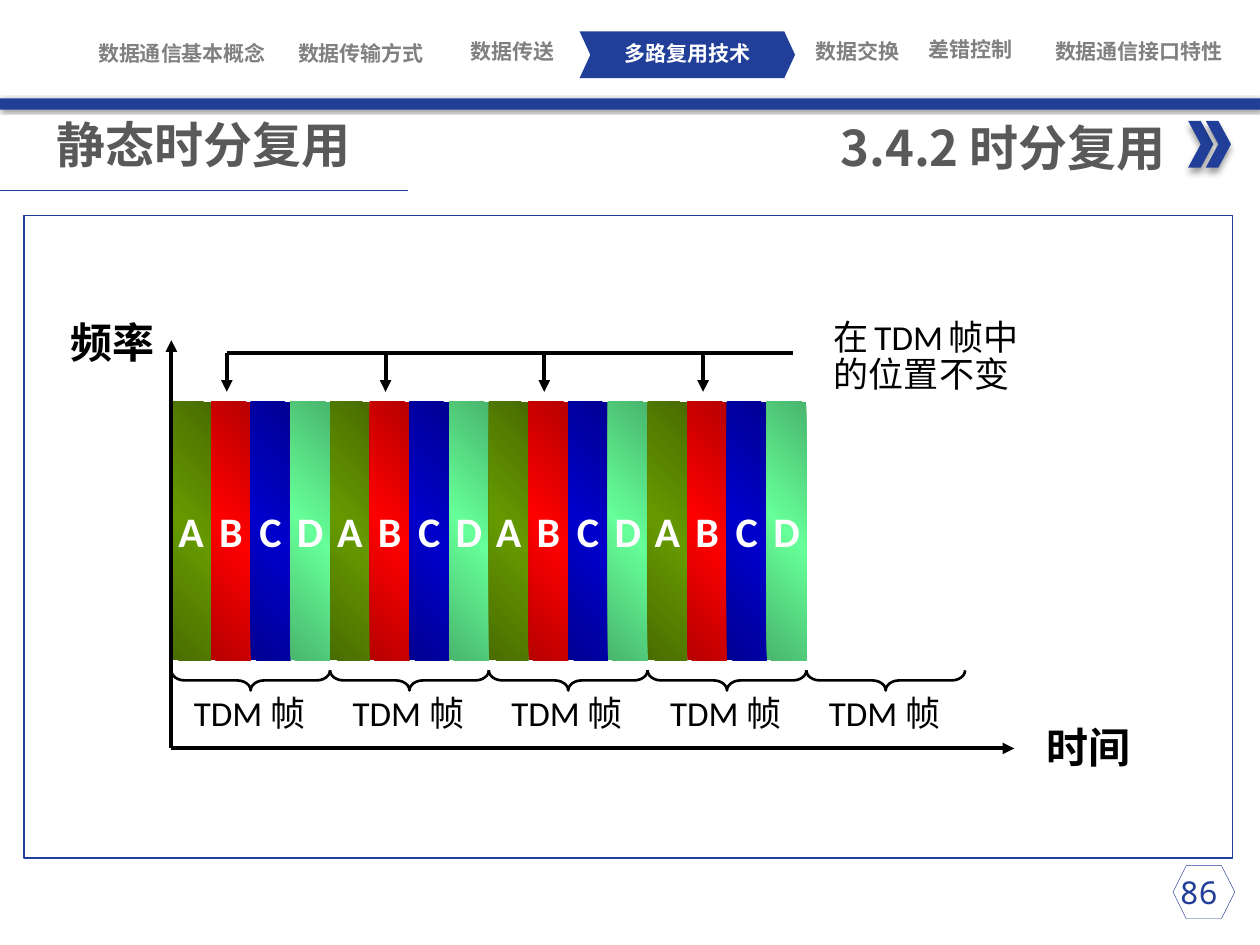
from copy import deepcopy

from lxml.etree import SubElement
from pptx import Presentation
from pptx.dml.color import RGBColor
from pptx.enum.shapes import MSO_CONNECTOR as Connector, MSO_SHAPE as Shape
from pptx.enum.text import MSO_ANCHOR as Anchor, MSO_AUTO_SIZE as AutoSize, PP_ALIGN as Align
from pptx.oxml.ns import qn
from pptx.util import Inches, Pt

COLORS = {"blue": "213F99", "gray": "808080", "title": "595959", "white": "FFFFFF", "black": "000000"}
CHANNELS = {
    "A": ("496D00", "669900"),
    "B": ("B60000", "FF0000"),
    "C": ("000092", "0000CC"),
    "D": ("49B66D", "66FF99"),
}
NAV_ITEMS = [
    ("多路复用技术", 4.73, 0.32, 1.45, "white"),
    ("数据通信基本概念", 0.72, 0.32, 1.45, "gray"),
    ("数据传输方式", 2.14, 0.32, 1.45, "gray"),
    ("数据传送", 3.43, 0.31, 1.27, "gray"),
    ("数据通信接口特性", 8.08, 0.31, 1.92, "gray"),
    ("数据交换", 6.08, 0.31, 1.45, "gray"),
    ("差错控制", 6.98, 0.29, 1.45, "gray"),
]
CJK = "Noto Sans CJK SC"
ORIGIN_X, ORIGIN_Y = 1.36, 5.94
FRAME_WIDTH = 1.26
FILLED_FRAMES = 4
SLOT_WIDTH = FRAME_WIDTH / len(CHANNELS)


def rgb(name):
    return RGBColor.from_string(COLORS.get(name, name))


def style(paragraph, size, font, color, bold=False, align=None, spacing=None):
    paragraph.font.size = Pt(size)
    paragraph.font.name = font
    paragraph.font.bold = bold
    paragraph.font.color.rgb = rgb(color)
    paragraph.alignment = align
    paragraph.line_spacing = spacing


def add_text(slide, text, box, *look, wrap=True, **options):
    frame = slide.shapes.add_textbox(*map(Inches, box)).text_frame
    frame.word_wrap = wrap
    frame.auto_size = AutoSize.SHAPE_TO_FIT_TEXT
    frame.text = text
    for paragraph in frame.paragraphs:
        style(paragraph, *look, **options)
    return frame


def add_figure(slide, kind, box, fill=None, line=None, width=1):
    figure = slide.shapes.add_shape(kind, *map(Inches, box))
    figure.shadow.inherit = False
    if fill:
        figure.fill.solid()
        figure.fill.fore_color.rgb = rgb(fill)
    else:
        figure.fill.background()
    if line:
        figure.line.color.rgb = rgb(line)
        figure.line.width = Pt(width)
    else:
        figure.line.fill.background()
    return figure


def cast_shadow(figure, blur, distance, angle):
    effects = figure._element.spPr.find(qn("a:effectLst"))
    shadow = SubElement(effects, qn("a:outerShdw"), blurRad=str(Pt(blur)), dist=str(Pt(distance)),
                        dir=str(angle * 60000), algn="t", rotWithShape="0")
    color = SubElement(shadow, qn("a:srgbClr"), val=COLORS["black"])
    SubElement(color, qn("a:alpha"), val="40000")


def add_line(slide, start, end, color="black", width=2.25, arrow=False):
    line = slide.shapes.add_connector(Connector.STRAIGHT, *map(Inches, start + end))
    line.line.color.rgb = rgb(color)
    line.line.width = Pt(width)
    if arrow:
        SubElement(line.line._get_or_add_ln(), qn("a:tailEnd"), type="triangle")
    SubElement(line._element.spPr, qn("a:effectLst"))


def add_slot(slide, channel, left):
    edge, middle = CHANNELS[channel]
    slot = add_figure(slide, Shape.RECTANGLE, (left, 3.19, SLOT_WIDTH, 2.05))
    slot.fill.gradient()
    slot.fill.gradient_angle = 45
    stops = slot._element.spPr.find(".//" + qn("a:gsLst"))
    stops.insert(1, deepcopy(stops[0]))
    for stop, position, color in zip(slot.fill.gradient_stops, (0, 0.5, 1), (edge, middle, edge)):
        stop.position = position
        stop.color.rgb = rgb(color)
    frame = slot.text_frame
    frame.word_wrap = False
    frame.vertical_anchor = Anchor.MIDDLE
    frame.text = channel
    style(frame.paragraphs[0], 24, "Calibri", "white", True, Align.CENTER)


def add_frame_label(slide, left):
    add_text(slide, "TDM 帧", (left + 0.08, 5.48, 1.2, 0.4), 20, "Calibri", "black",
             wrap=False, spacing=0.9)
    depth = 0.16
    center = left + FRAME_WIDTH / 2
    brace = add_figure(slide, Shape.LEFT_BRACE,
                       (center - depth / 2, 4.77, depth, FRAME_WIDTH), line="black", width=1.5)
    brace.rotation = 270
    brace.adjustments[0] = 0.67


def add_header(slide):
    current = add_figure(slide, Shape.CHEVRON, (4.6, 0.25, 1.71, 0.37), "blue")
    current.adjustments[0] = 0.23
    for topic, left, top, width, color in NAV_ITEMS:
        frame = add_text(slide, topic, (left, top, width, 0.2), 12, "Roboto Condensed", color, True,
                         align=Align.CENTER)
        frame.vertical_anchor = Anchor.MIDDLE
        frame.margin_left = frame.margin_right = frame.margin_top = frame.margin_bottom = 0
    bar = add_figure(slide, Shape.RECTANGLE, (0, 0.78, 10, 0.09), "blue")
    cast_shadow(bar, 2, 1, 45)
    for left in (9.43, 9.57):
        chevron = add_figure(slide, Shape.CHEVRON, (left, 0.96, 0.2, 0.37), "blue")
        cast_shadow(chevron, 4, 3, 90)
    add_text(slide, "3.4.2 时分复用", (6.39, 0.88, 2.96, 0.57), 28, CJK, "title", True,
             wrap=False, align=Align.RIGHT)
    heading = add_text(slide, "静态时分复用", (0, 0.86, 4.79, 0.57), 28, CJK, "title", True)
    heading.margin_left = Inches(0.45)
    add_line(slide, (0, 1.51), (3.24, 1.51), "blue", 0.5)


def add_page_number(slide):
    add_text(slide, "86", (9.08, 6.88, 0.87, 0.4), 18, "Noto Sans Mono", "blue", align=Align.CENTER)
    add_figure(slide, Shape.HEXAGON, (9.31, 6.87, 0.49, 0.42), line="blue", width=0.25)


def add_axes(slide):
    origin = (ORIGIN_X, ORIGIN_Y)
    for end in ((8.05, ORIGIN_Y), (ORIGIN_X, 2.7)):
        add_line(slide, origin, end, arrow=True)
    for name, left, top in (("频率", 0.46, 2.51), ("时间", 8.21, 5.72)):
        add_text(slide, name, (left, top, 0.88, 0.46), 24, CJK, "black", True,
                 wrap=False, spacing=0.9)


def add_position_note(slide):
    note = add_text(slide, "\n的位置不变", (6.52, 2.49, 2.16, 0.7), 20, "Calibri", "black", spacing=0.9)
    for part in ("在", " ", "TDM", " ", "帧中"):
        run = note.paragraphs[0].add_run()
        run.text = part
        if part == " ":
            run.font.size = Pt(14)
    first, top = 1.8, 2.8
    add_line(slide, (first, top), (6.29, top))
    for index in range(FILLED_FRAMES):
        x = first + index * FRAME_WIDTH
        add_line(slide, (x, top), (x, 3.11), arrow=True)


def main():
    deck = Presentation()
    deck.slide_width, deck.slide_height = Inches(10), Inches(7.5)
    slide = deck.slides.add_slide(deck.slide_layouts[6])
    add_header(slide)
    add_page_number(slide)
    add_figure(slide, Shape.RECTANGLE, (0.19, 1.71, 9.59, 5.1), line="blue", width=0.75)
    for index, channel in enumerate(list(CHANNELS) * FILLED_FRAMES):
        add_slot(slide, channel, ORIGIN_X + index * SLOT_WIDTH)
    for index in range(FILLED_FRAMES + 1):
        add_frame_label(slide, ORIGIN_X + index * FRAME_WIDTH)
    add_axes(slide)
    add_position_note(slide)
    deck.save("out.pptx")


if __name__ == "__main__":
    main()
